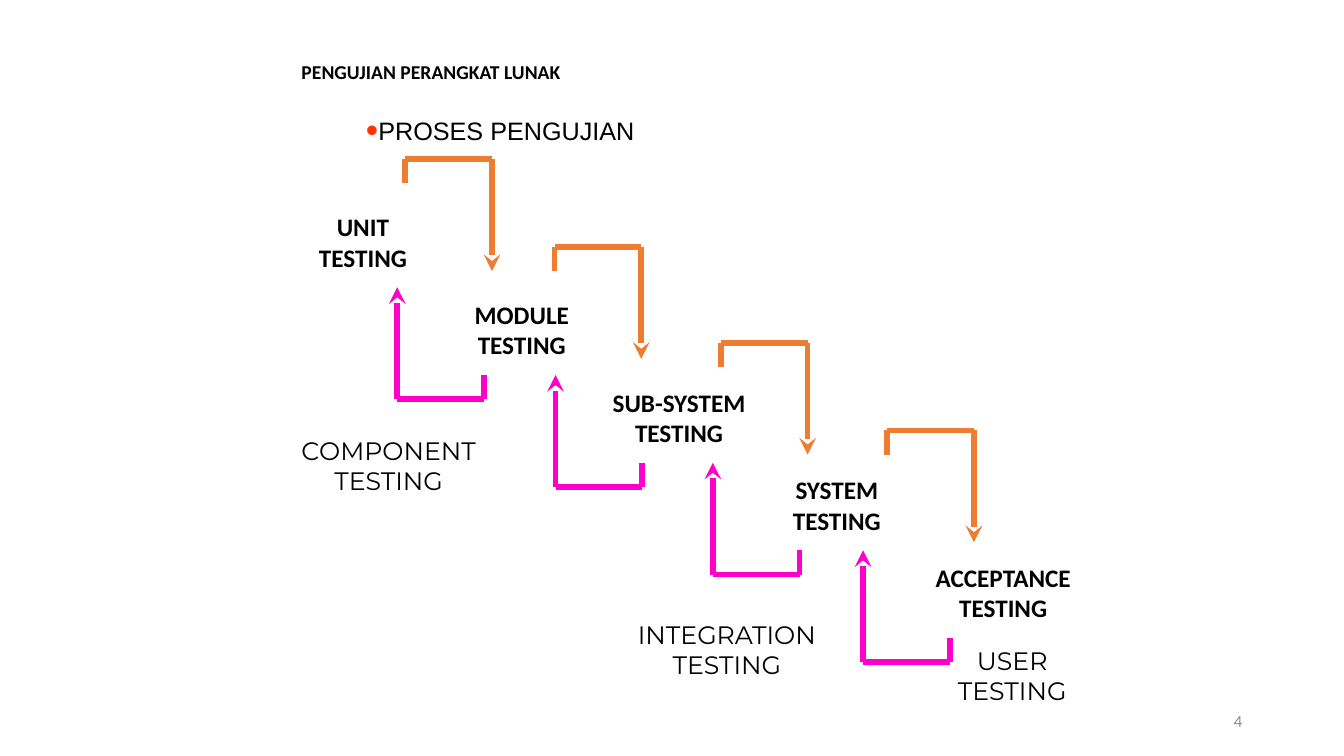
import pptx
import pptx.util
import pptx.dml.color
import pptx.enum.shapes
import pptx.enum.text
import pptx.oxml
import pptx.oxml.ns
import lxml.etree

Inches = pptx.util.Inches
ALIGN = pptx.enum.text.PP_ALIGN
ANCHOR = pptx.enum.text.MSO_ANCHOR
BLACK = pptx.dml.color.RGBColor(0x00, 0x00, 0x00)
GRAY = pptx.dml.color.RGBColor(0x8C, 0x8C, 0x8C)
ORANGE = pptx.dml.color.RGBColor(0xED, 0x7D, 0x31)
PINK = pptx.dml.color.RGBColor(0xFF, 0x00, 0xCC)
RED = pptx.dml.color.RGBColor(0xFF, 0x33, 0x00)

STAIR_STEP = 0.87
STAGES = [
    ("UNIT", 3.06, 1.08),
    ("MODULE", 4.6, 1.15),
    ("SUB-SYSTEM", 5.97, 1.53),
    ("SYSTEM", 7.76, 1.08),
    ("ACCEPTANCE", 9.17, 1.56),
]
GROUPS = [
    ("COMPONENT", 2.84, 4.27, 2.03),
    ("INTEGRATION", 6.13, 6.09, 2.16),
    ("USER", 9.26, 6.35, 1.56),
]
FORWARD_STARTS = [(4.02, 1.82), (5.5, 2.69), (7.15, 3.64), (8.8, 4.51)]
BACK_STARTS = [4.8, 6.37, 7.93, 9.42]


def place(shape, left, top, width, height):
    """Move and size a shape, in inches."""
    shape.left, shape.top = Inches(left), Inches(top)
    shape.width, shape.height = Inches(width), Inches(height)


def write(para, text, size, font, color=BLACK, bold=False, align=ALIGN.LEFT):
    """Add one formatted run to a paragraph."""
    para.alignment = align
    para.space_before = pptx.util.Pt(0)
    span = para.add_run()
    span.text = text
    span.font.size = pptx.util.Pt(size)
    span.font.name = font
    span.font.bold = bold
    span.font.color.rgb = color


def add_bullet(para, color, percent):
    """Give a paragraph a coloured round bullet without an indent."""
    props = para._p.get_or_add_pPr()
    props.set("marL", "0")
    props.set("indent", "0")
    tint = lxml.etree.SubElement(props, pptx.oxml.ns.qn("a:buClr"))
    lxml.etree.SubElement(tint, pptx.oxml.ns.qn("a:srgbClr"), val=str(color))
    lxml.etree.SubElement(props, pptx.oxml.ns.qn("a:buSzPct"), val=str(percent * 1000))
    lxml.etree.SubElement(props, pptx.oxml.ns.qn("a:buFont"), typeface="Arial")
    lxml.etree.SubElement(props, pptx.oxml.ns.qn("a:buChar"), char="•")


def fill_placeholder(shape, area):
    """Place a placeholder and return its first paragraph."""
    place(shape, *area)
    frame = shape.text_frame
    frame.vertical_anchor = ANCHOR.TOP
    frame.auto_size = pptx.enum.text.MSO_AUTO_SIZE.NONE
    return frame.paragraphs[0]


def add_testing_label(page, name, left, top, width, font, bold=False):
    """Add a centred two-line label for a kind of testing."""
    box = page.shapes.add_textbox(Inches(left), Inches(top), Inches(width), Inches(0.71))
    frame = box.text_frame
    frame.word_wrap = False
    write(frame.paragraphs[0], name, 18, font, bold=bold, align=ALIGN.CENTER)
    write(frame.add_paragraph(), "TESTING", 18, font, bold=bold, align=ALIGN.CENTER)


def add_line(page, start, end, color, arrow):
    """Add a thick straight line, with an arrowhead if asked."""
    line = page.shapes.add_connector(
        pptx.enum.shapes.MSO_CONNECTOR.STRAIGHT,
        *(Inches(value) for value in (*start, *end)))
    line.line.color.rgb = color
    line.line.width = pptx.util.Pt(4)
    if arrow:
        stroke = line.line._get_or_add_ln()
        lxml.etree.SubElement(stroke, pptx.oxml.ns.qn("a:tailEnd"), type="stealth")
    lxml.etree.SubElement(line._element.spPr, pptx.oxml.ns.qn("a:effectLst"))


def add_hook(page, left, top, direction, color):
    """Add a three-part arrow: 1 goes over and down, -1 under and up."""
    turn = top - direction * 0.24
    across = left + direction * 0.86
    points = [(left, top), (left, turn), (across, turn), (across, turn + direction * 1.11)]
    for index, (start, end) in enumerate(zip(points, points[1:])):
        add_line(page, start, end, color, arrow=index == 2)


def add_page_number(page):
    """Add the page number at the lower right."""
    box = page.shapes.add_textbox(Inches(9.42), Inches(6.95), Inches(3), Inches(0.4))
    box.text_frame.word_wrap = True
    box.text_frame.vertical_anchor = ANCHOR.MIDDLE
    write(box.text_frame.paragraphs[0], "4", 12, "Calibri", GRAY, align=ALIGN.RIGHT)


def main():
    """Build the slide on the testing process."""
    deck = pptx.Presentation()
    deck.slide_width, deck.slide_height = Inches(13.33), Inches(7.5)
    page = deck.slides.add_slide(deck.slide_layouts[1])

    para = fill_placeholder(page.shapes.title, (2.89, 0.54, 3.94, 0.34))
    write(para, "PENGUJIAN PERANGKAT LUNAK", 14, "Calibri", bold=True)
    para = fill_placeholder(page.placeholders[1], (3.53, 1.09, 6.35, 0.4))
    add_bullet(para, RED, 140)
    write(para, "PROSES PENGUJIAN", 18, "Arial")

    for index, (name, left, width) in enumerate(STAGES):
        add_testing_label(page, name, left, 2.05 + index * STAIR_STEP, width, "Calibri", bold=True)
    for left, top in FORWARD_STARTS:
        add_hook(page, left, top, 1, ORANGE)
    for index, left in enumerate(BACK_STARTS):
        add_hook(page, left, 3.72 + index * STAIR_STEP, -1, PINK)
    for name, left, top, width in GROUPS:
        add_testing_label(page, name, left, top, width, "Montserrat")
    add_page_number(page)
    deck.save("out.pptx")


if __name__ == "__main__":
    main()
